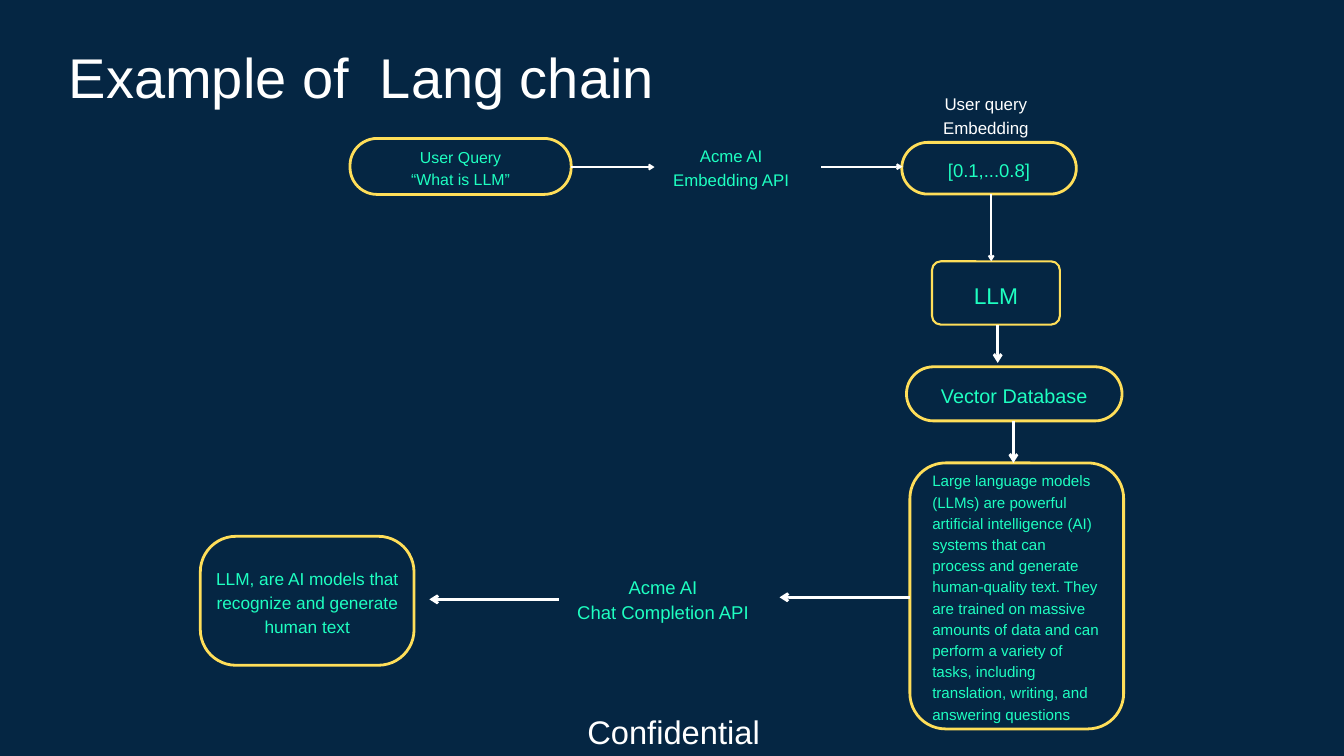
from dataclasses import dataclass

from lxml import etree
from pptx import Presentation
from pptx.dml.color import RGBColor
from pptx.enum.shapes import MSO_CONNECTOR, MSO_SHAPE
from pptx.enum.text import MSO_ANCHOR, PP_ALIGN
from pptx.oxml.ns import qn
from pptx.util import Pt

CENTER, LEFT = PP_ALIGN.CENTER, PP_ALIGN.LEFT
TOP, MIDDLE = MSO_ANCHOR.TOP, MSO_ANCHOR.MIDDLE
ROUNDED = MSO_SHAPE.ROUNDED_RECTANGLE
STRAIGHT = MSO_CONNECTOR.STRAIGHT
TITLE_ONLY = 5


@dataclass(frozen=True)
class Theme:
    font: str = "Arial"
    background: RGBColor = RGBColor(0x05, 0x26, 0x43)
    white: RGBColor = RGBColor(0xFF, 0xFF, 0xFF)
    mint: RGBColor = RGBColor(0x1E, 0xFF, 0xC1)
    yellow: RGBColor = RGBColor(0xFF, 0xDE, 0x59)
    leading: float = 1.4
    title: float = 60
    footer: float = 35
    model: float = 24.4
    database: float = 21.2
    step: float = 19.8
    answer: float = 18.5
    label: float = 18.1
    api: float = 18
    query: float = 17
    context: float = 16.2
    thin: float = 2
    medium: float = 2.25
    thick: float = 3


THEME = Theme()


def write_text(shape, lines, size, color, align=CENTER, anchor=TOP, inset=0):
    """Fill a shape with one paragraph per line."""
    frame = shape.text_frame
    frame.word_wrap = True
    frame.vertical_anchor = anchor
    frame.margin_left = frame.margin_right = Pt(inset)
    frame.margin_top = frame.margin_bottom = 0
    for number, line in enumerate(lines):
        para = frame.add_paragraph() if number else frame.paragraphs[0]
        para.alignment = align
        para.line_spacing = Pt(round(size * THEME.leading, 1))
        span = para.add_run()
        span.text = line
        span.font.name = THEME.font
        span.font.size = Pt(size)
        span.font.color.rgb = color


def add_title(page, place, line):
    title = page.shapes.title
    title.left, title.top, title.width, title.height = map(Pt, place)
    write_text(title, [line], THEME.title, THEME.white)


def add_label(page, place, lines, size, color):
    box = page.shapes.add_textbox(*map(Pt, place))
    write_text(box, lines, size, color)


def add_node(page, place, radius, lines, size, weight=THEME.thick,
             align=CENTER, inset=0):
    """Draw an outlined rounded box with its text inside."""
    box = page.shapes.add_shape(ROUNDED, *map(Pt, place))
    box.adjustments[0] = radius / min(place[2:])
    box.shadow.inherit = False
    box.fill.background()
    box.line.color.rgb = THEME.yellow
    box.line.width = Pt(weight)
    write_text(box, lines, size, THEME.mint, align, MIDDLE, inset)


def add_arrow(page, start, end, weight):
    arrow = page.shapes.add_connector(STRAIGHT, *map(Pt, start + end))
    arrow.line.color.rgb = THEME.white
    arrow.line.width = Pt(weight)
    # Open arrowhead at the end, and no shadow
    etree.SubElement(arrow.line._get_or_add_ln(), qn("a:tailEnd"), type="arrow")
    etree.SubElement(arrow._element.spPr, qn("a:effectLst"))


def main():
    deck = Presentation()
    deck.slide_width, deck.slide_height = Pt(1440), Pt(810)
    page = deck.slides.add_slide(deck.slide_layouts[TITLE_ONLY])
    page.background.fill.solid()
    page.background.fill.fore_color.rgb = THEME.background

    # Title and footer
    add_title(page, (54.7, 33.8, 665.3, 83.5), "Example of  Lang chain")
    add_label(page, (569.5, 755.3, 304.6, 49), ["Confidential"],
              THEME.footer, THEME.white)

    # Labels between the boxes
    add_label(page, (967, 97.2, 178.5, 51), ["User query Embedding"],
              THEME.label, THEME.white)
    add_label(page, (720.7, 152.6, 125.3, 50.4), ["Acme AI", "Embedding API"],
              THEME.api, THEME.mint)
    add_label(page, (593.3, 612.7, 234, 54), ["Acme AI", "Chat Completion API"],
              THEME.step, THEME.mint)

    # Boxes, in the order of the flow
    add_node(page, (375, 148.3, 237, 60), 29, ["User Query", "“What is LLM”"],
             THEME.query)
    add_node(page, (966.2, 152.6, 187, 55.4), 27.7, ["[0.1,...0.8]"], THEME.step)
    add_node(page, (998.6, 280, 137, 67.8), 9.4, ["LLM"], THEME.model,
             THEME.medium)
    add_node(page, (971.2, 393, 231, 58), 29, ["Vector Database"],
             THEME.database)
    add_node(page, (974.9, 496, 229, 285), 38.2, [
        "Large language models (LLMs) are powerful artificial intelligence (AI) "
        "systems that can process and generate human-quality text. They are "
        "trained on massive amounts of data and can perform a variety of tasks, "
        "including translation, writing, and answering questions"],
        THEME.context, align=LEFT, inset=12.8)
    add_node(page, (214.6, 574.6, 229, 138.2), 38.2,
             ["LLM, are AI models that recognize and generate human text"],
             THEME.answer, inset=4)

    # Arrows, in the order of the flow
    for start, end, weight in (
        ((612, 179), (701.3, 179), THEME.thin),
        ((880, 178.6), (967, 178.6), THEME.thin),
        ((1062, 208), (1062, 280), THEME.thin),
        ((1069, 347.8), (1069, 388.8), THEME.thick),
        ((1085.8, 451), (1085.8, 496), THEME.thick),
        ((974.9, 640), (835.2, 640), THEME.thick),
        ((599, 642.2), (460, 642.2), THEME.thick),
    ):
        add_arrow(page, start, end, weight)

    deck.save("out.pptx")


if __name__ == "__main__":
    main()
